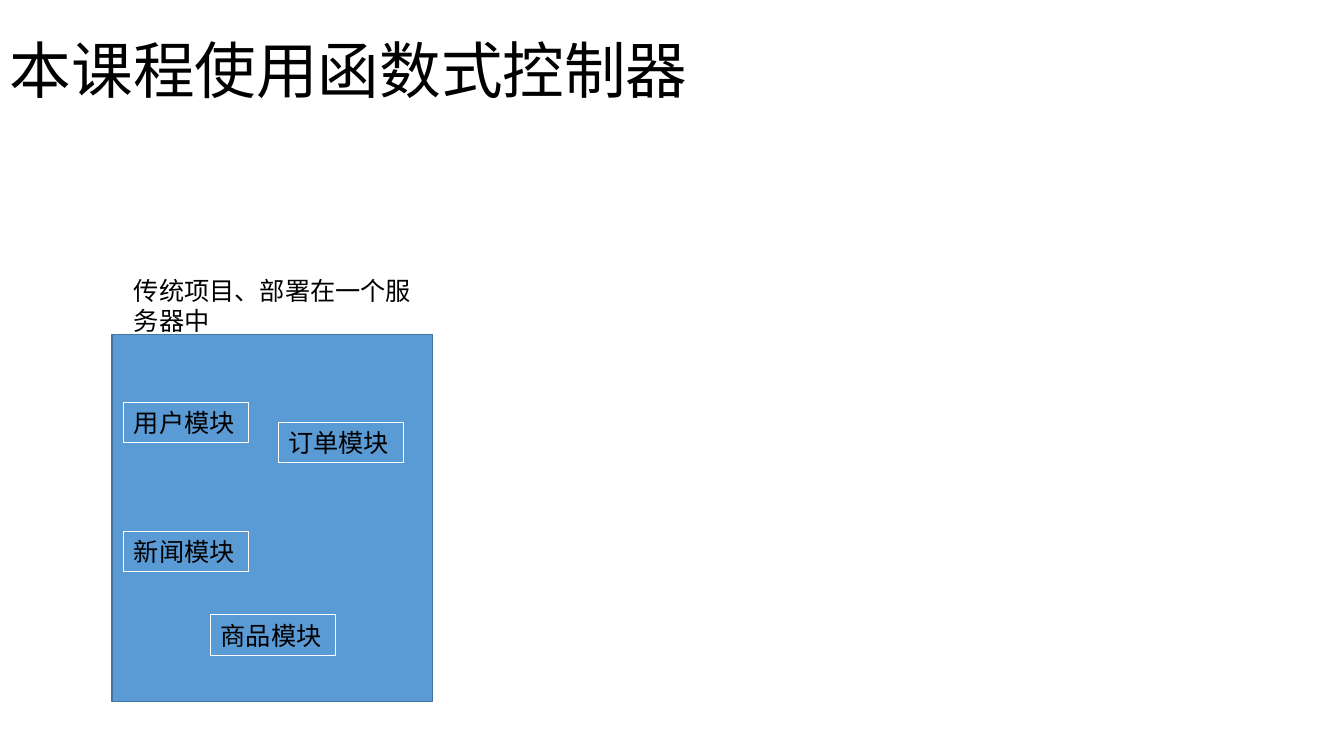
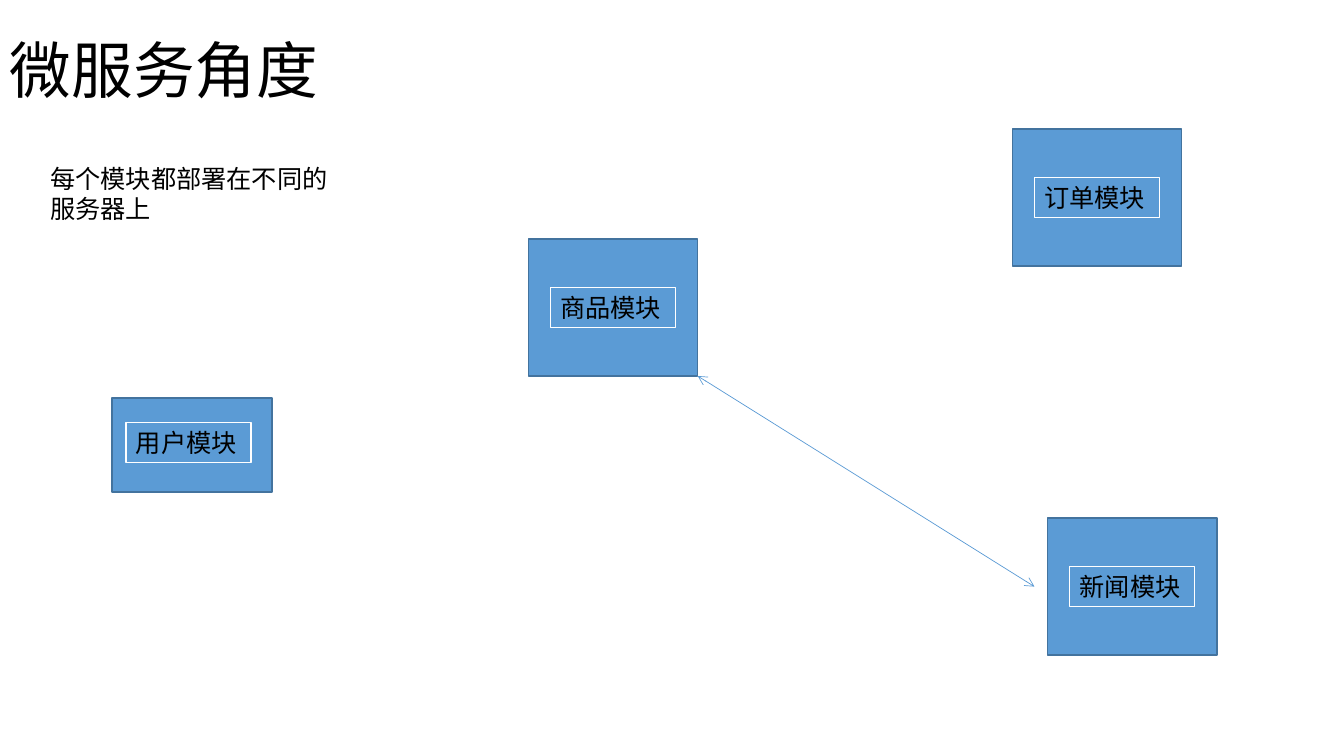
"""Build two slides comparing a single-server project with microservices."""
from dataclasses import dataclass

from lxml import etree
from pptx import Presentation
from pptx.dml.color import RGBColor
from pptx.enum.shapes import MSO_CONNECTOR, MSO_SHAPE
from pptx.enum.text import MSO_ANCHOR, MSO_AUTO_SIZE
from pptx.oxml.ns import qn
from pptx.util import Inches, Pt

RECTANGLE = MSO_SHAPE.RECTANGLE
STRAIGHT = MSO_CONNECTOR.STRAIGHT
MIDDLE = MSO_ANCHOR.MIDDLE
GROW = MSO_AUTO_SIZE.SHAPE_TO_FIT_TEXT
BLANK_LAYOUT = 6


@dataclass(frozen=True)
class Theme:
    """Colours, font, type sizes and line widths."""
    server: RGBColor = RGBColor.from_string("5B9BD5")
    server_edge: RGBColor = RGBColor.from_string("43739E")
    module_edge: RGBColor = RGBColor.from_string("FFFFFF")
    text: RGBColor = RGBColor.from_string("000000")
    font: str = "Calibri"
    title_size: float = 44
    body_size: float = 18
    server_line: float = 1
    module_line: float = 0.75
    arrow_line: float = 0.5


THEME = Theme()
TITLE_BOX = (0, 0, 11.5, 1.45)
NOTE_SIZE = (3.18, 0.71)
MODULE_SIZE = (1.24, 0.4)
NODE_SIZE = (1.68, 1.36)
NODE_INSET = (0.22, 0.48)

NODES = [("订单模块", 10.04, 1.28), ("新闻模块", 10.39, 5.14), ("商品模块", 5.24, 2.37)]

SLIDES = [
    {
        "title": "本课程使用函数式控制器",
        "note": ("传统项目、部署在一个服务器中", 1.23, 2.68),
        "servers": [(1.11, 3.32, 3.18, 3.64)],
        "modules": [
            ("用户模块", 1.23, 3.99),
            ("新闻模块", 1.23, 5.27),
            ("商品模块", 2.09, 6.1),
            ("订单模块", 2.76, 4.19),
        ],
        "arrows": [],
    },
    {
        "title": "微服务角度",
        "note": ("每个模块都部署在不同的服务器上", 0.4, 1.57),
        "servers": [(1.11, 3.95, 1.59, 0.93)]
        + [(left, top, *NODE_SIZE) for _, left, top in NODES],
        "modules": [("用户模块", 1.25, 4.19)]
        + [(name, left + NODE_INSET[0], top + NODE_INSET[1]) for name, left, top in NODES],
        "arrows": [(6.92, 3.73, 10.26, 5.82)],
    },
]


def inches(lengths):
    """Convert a sequence of numbers to lengths."""
    return [Inches(length) for length in lengths]


def add_text(page, text, area, size):
    """Add a wrapped text box and return it."""
    box = page.shapes.add_textbox(*inches(area))
    frame = box.text_frame
    frame.word_wrap = True
    frame.text = text
    font = frame.paragraphs[0].runs[0].font
    font.name, font.size = THEME.font, Pt(size)
    font.color.rgb = THEME.text
    return box


def add_title(page, text):
    """Add the slide title."""
    frame = add_text(page, text, TITLE_BOX, THEME.title_size).text_frame
    frame.vertical_anchor = MIDDLE
    frame.paragraphs[0].line_spacing = 0.9


def add_label(page, text, left, top, size):
    """Add body text that grows with its content."""
    box = add_text(page, text, (left, top, *size), THEME.body_size)
    box.text_frame.auto_size = GROW
    return box


def set_line(line, color, width):
    """Set the colour and width of a line."""
    line.color.rgb = color
    line.width = Pt(width)


def add_server(page, area):
    """Add a filled server rectangle."""
    server = page.shapes.add_shape(RECTANGLE, *inches(area))
    server.shadow.inherit = False
    server.fill.solid()
    server.fill.fore_color.rgb = THEME.server
    set_line(server.line, THEME.server_edge, THEME.server_line)


def add_arrow(page, ends):
    """Add a line with an open arrowhead at each end."""
    arrow = page.shapes.add_connector(STRAIGHT, *inches(ends))
    set_line(arrow.line, THEME.server, THEME.arrow_line)
    properties = arrow.element.spPr
    outline = properties.find(qn("a:ln"))
    for end in ("a:headEnd", "a:tailEnd"):
        etree.SubElement(outline, qn(end), type="arrow")
    etree.SubElement(properties, qn("a:effectLst"))


def build_slide(deck, content):
    """Add one slide from its content."""
    page = deck.slides.add_slide(deck.slide_layouts[BLANK_LAYOUT])
    add_title(page, content["title"])
    for area in content["servers"]:
        add_server(page, area)
    for module in content["modules"]:
        box = add_label(page, *module, MODULE_SIZE)
        set_line(box.line, THEME.module_edge, THEME.module_line)
    add_label(page, *content["note"], NOTE_SIZE)
    for ends in content["arrows"]:
        add_arrow(page, ends)


deck = Presentation()
deck.slide_width, deck.slide_height = inches((13.33, 7.5))
for content in SLIDES:
    build_slide(deck, content)
deck.save("out.pptx")
